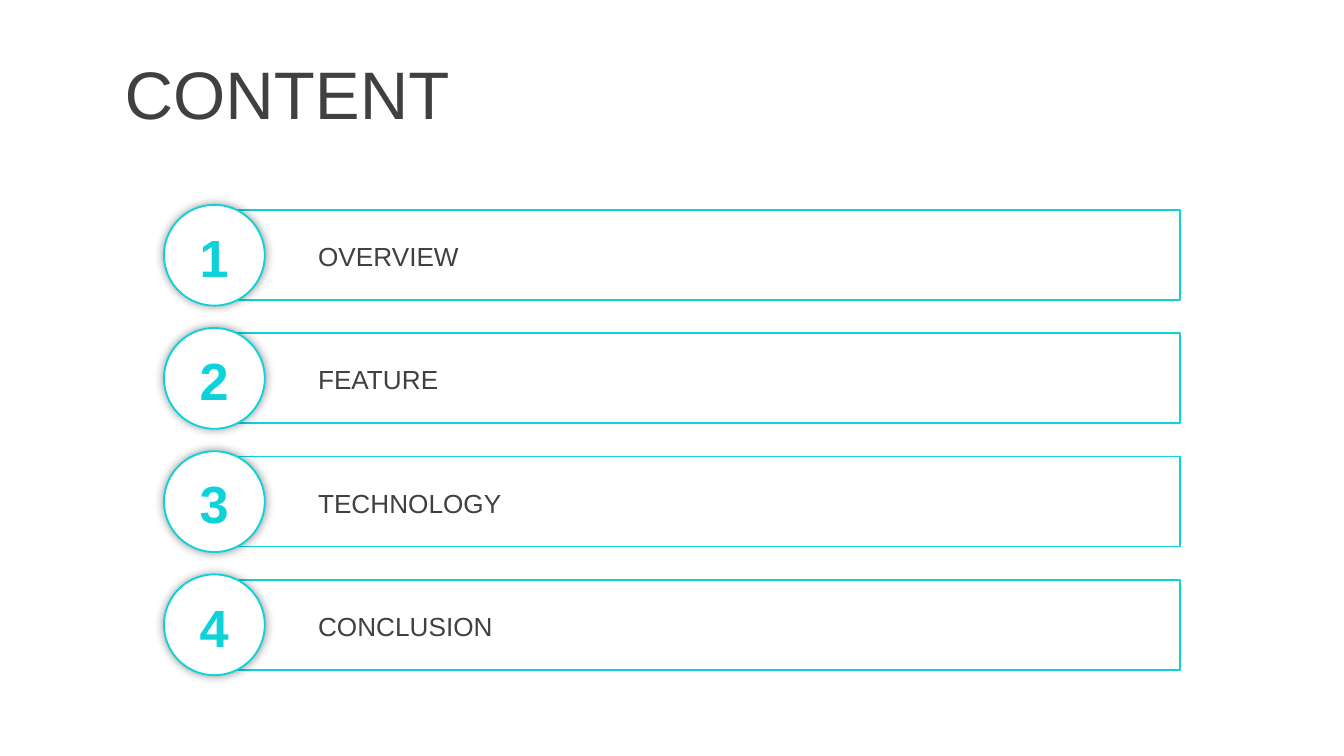
from lxml import etree
from pptx import Presentation
from pptx.dml.color import RGBColor
from pptx.enum.shapes import MSO_SHAPE
from pptx.enum.text import MSO_ANCHOR, MSO_AUTO_SIZE, PP_ALIGN
from pptx.oxml.ns import qn
from pptx.util import Inches, Pt

RECTANGLE, OVAL = MSO_SHAPE.RECTANGLE, MSO_SHAPE.OVAL
MIDDLE = MSO_ANCHOR.MIDDLE
FIT_SHAPE, FIXED = MSO_AUTO_SIZE.SHAPE_TO_FIT_TEXT, MSO_AUTO_SIZE.NONE
LEFT, CENTER = PP_ALIGN.LEFT, PP_ALIGN.CENTER

COLORS = {"accent": "0DD2D9", "text": "404040", "paper": "FFFFFF", "shadow": "000000"}
COLUMNS, ROWS = 1000, 562.5
CELL = Inches(10) / COLUMNS
TITLE_BOX = (83, 37.4, 917, 63)
LIST_BOX = (122, 152.4, 756, 350)
CIRCLE_SIZE = 75
TOPICS = ["OVERVIEW", "FEATURE", "TECHNOLOGY", "CONCLUSION"]
TITLE_FONT = {"name": "Arial", "size": Pt(36)}
TOPIC_FONT = {"name": "Arial", "size": Pt(14)}
NUMBER_FONT = {"name": "Arial", "size": Pt(28), "bold": True}


def to_lengths(box):
    """Turn a box in grid cells into slide lengths."""
    return [round(cells * CELL) for cells in box]


def inside(box, left, top, width, height):
    """Return a box placed by an offset from the corner of another box."""
    return box[0] + left, box[1] + top, width, height


def add_text(slide, box, text, formats, color, alignment=LEFT, fit=FIT_SHAPE):
    """Add one line of vertically centred text."""
    shape = slide.shapes.add_textbox(*to_lengths(box))
    frame = shape.text_frame
    for name, value in {"word_wrap": True, "auto_size": fit, "vertical_anchor": MIDDLE}.items():
        setattr(frame, name, value)
    paragraph = frame.paragraphs[0]
    paragraph.text = text
    paragraph.alignment = alignment
    font = paragraph.runs[0].font
    for name, value in formats.items():
        setattr(font, name, value)
    font.color.rgb = RGBColor.from_string(COLORS[color])


def add_outlined_shape(slide, kind, box):
    """Add an unfilled shape with an accent outline and no shadow."""
    shape = slide.shapes.add_shape(kind, *to_lengths(box))
    shape.shadow.inherit = False
    shape.fill.background()
    shape.line.color.rgb = RGBColor.from_string(COLORS["accent"])
    shape.line.width = Pt(1)
    return shape


def add_glow_shadow(shape):
    """Give a shape a soft shadow on all sides."""
    effects = shape.element.spPr.find(qn("a:effectLst"))
    shadow = etree.SubElement(effects, qn("a:outerShdw"), blurRad=str(Pt(5)),
                              dist="0", dir="0", algn="ctr", rotWithShape="0")
    color = etree.SubElement(shadow, qn("a:srgbClr"), val=COLORS["shadow"])
    etree.SubElement(color, qn("a:alpha"), val="40000")


def add_topic(slide, box, number, topic):
    """Draw one numbered topic bar in its box."""
    add_outlined_shape(slide, RECTANGLE, inside(box, 37, 4, box[2] - 37, 67))
    add_text(slide, inside(box, 104.8, 21.3, 628, 34), topic, TOPIC_FONT, "text")
    circle = add_outlined_shape(slide, OVAL, inside(box, 0, 0, CIRCLE_SIZE, CIRCLE_SIZE))
    circle.fill.solid()
    circle.fill.fore_color.rgb = RGBColor.from_string(COLORS["paper"])
    add_glow_shadow(circle)
    add_text(slide, inside(box, 13.8, 10, 47, 57), str(number), NUMBER_FONT, "accent", CENTER)


def add_topic_list(slide, box, topics):
    """Spread the topics evenly from the top to the bottom of the box."""
    pitch = (box[3] - CIRCLE_SIZE) / (len(topics) - 1)
    for index, topic in enumerate(topics):
        add_topic(slide, inside(box, 0, index * pitch, box[2], CIRCLE_SIZE), index + 1, topic)


def main():
    """Build and save the contents slide."""
    presentation = Presentation()
    presentation.slide_width, presentation.slide_height = to_lengths((COLUMNS, ROWS))
    slide = presentation.slides.add_slide(presentation.slide_layouts[6])
    add_text(slide, TITLE_BOX, "CONTENT", TITLE_FONT, "text", fit=FIXED)
    add_topic_list(slide, LIST_BOX, TOPICS)
    presentation.save("out.pptx")


if __name__ == "__main__":
    main()
